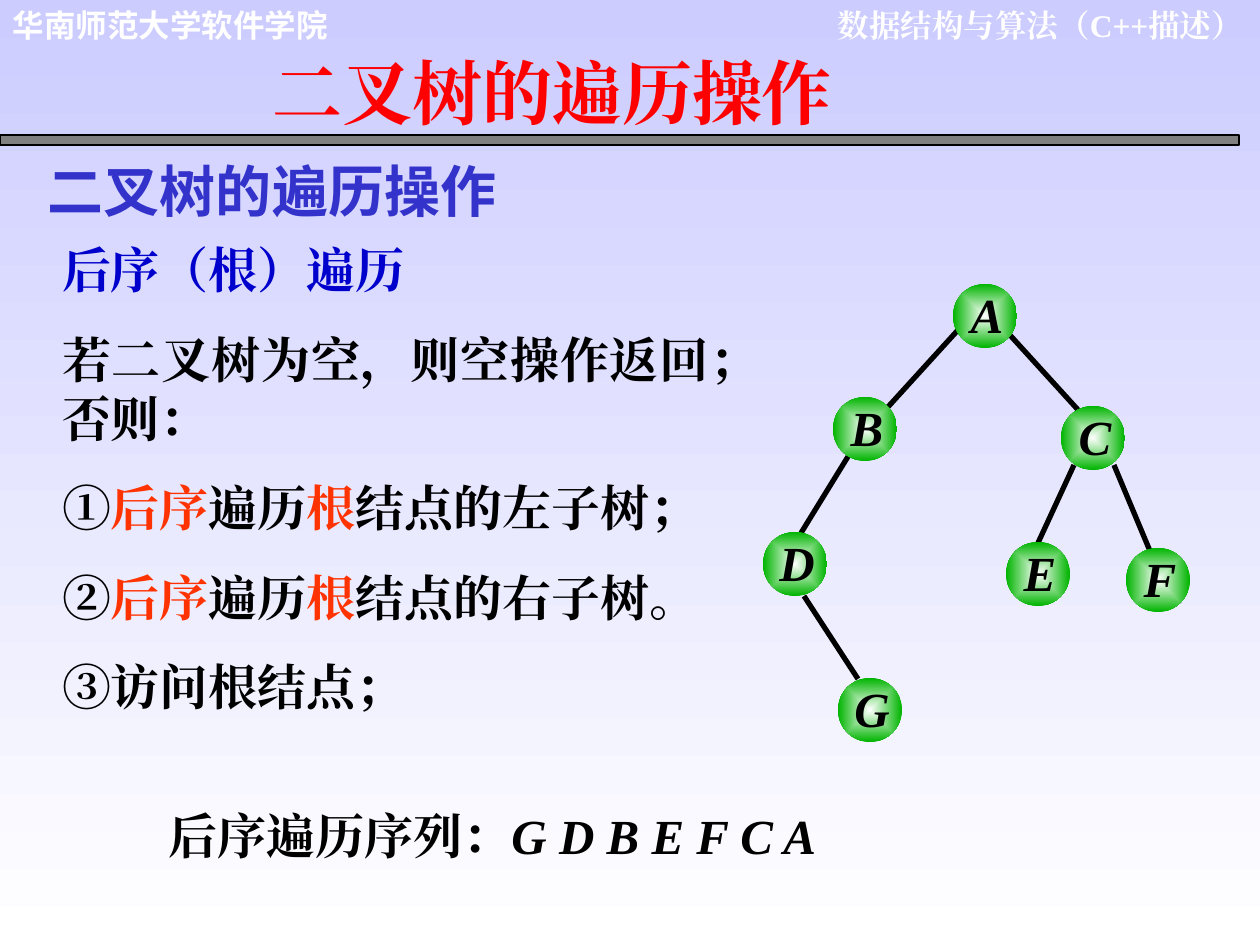
from lxml import etree
from pptx import Presentation, util as u
from pptx.dml.color import RGBColor
from pptx.enum import shapes, text
from pptx.oxml import ns

PX = 914400 / 126
WHITE = RGBColor(0xFF, 0xFF, 0xFF)
BLACK = RGBColor(0, 0, 0)
GRAY = RGBColor(0x80, 0x80, 0x80)
LAVENDER = RGBColor(0xCC, 0xCC, 0xFF)
GREEN = RGBColor(0, 0xB4, 0)
RED = RGBColor(0xFF, 0, 0)
ORANGE = RGBColor(0xFF, 0x33, 0)
BLUE = RGBColor(0, 0, 0xCC)
INDIGO = RGBColor(0x33, 0x33, 0xCC)
SERIF = "Times New Roman"
SANS = "Noto Sans CJK SC"
LEFT, CENTER, RIGHT, JUSTIFY = (text.PP_ALIGN.LEFT, text.PP_ALIGN.CENTER,
                                text.PP_ALIGN.RIGHT, text.PP_ALIGN.JUSTIFY)


def px(*lengths):
    return [u.Emu(round(length * PX)) for length in lengths]


def add_text(box, paragraphs, size, align, font=SERIF, insets=(13, 6, 13, 6),
             shadow=False, grow=True):
    """Each paragraph is a list of (words, colour, italic) runs."""
    frame = slide.shapes.add_textbox(*px(*box)).text_frame
    frame.word_wrap = True
    frame.auto_size = (text.MSO_AUTO_SIZE.SHAPE_TO_FIT_TEXT if grow
                       else text.MSO_AUTO_SIZE.NONE)
    (frame.margin_left, frame.margin_top,
     frame.margin_right, frame.margin_bottom) = px(*insets)
    for i, runs in enumerate(paragraphs):
        paragraph = frame.add_paragraph() if i else frame.paragraphs[0]
        paragraph.alignment = align
        paragraph.space_before = u.Pt(17.5 if i else 0)
        for words, color, italic in runs:
            run = paragraph.add_run()
            run.text = words
            run.font.size, run.font.name = u.Pt(size), font
            run.font.bold, run.font.italic = True, italic
            run.font.color.rgb = color
            props = run.font._element
            latin = props.find(ns.qn("a:latin"))
            east_asian = etree.Element(ns.qn("a:ea"), typeface=font)
            latin.addnext(east_asian)
            if shadow:
                effects = etree.Element(ns.qn("a:effectLst"))
                outer = etree.SubElement(effects, ns.qn("a:outerShdw"), dist="35921",
                                         dir="2700000", algn="ctr")
                etree.SubElement(outer, ns.qn("a:srgbClr"), val=str(GRAY))
                latin.addprevious(effects)


prs = Presentation()
prs.slide_width, prs.slide_height = px(1260, 945)
slide = prs.slides.add_slide(prs.slide_layouts[6])

# Background, fading downwards
backdrop = slide.background.fill
backdrop.gradient()
backdrop.gradient_angle = 270
for stop, color in zip(backdrop.gradient_stops, (LAVENDER, WHITE)):
    stop.color.rgb = color

# Page header and divider bar
add_text((790, 0, 466, 50), [[("数据结构与算法（C++描述）", WHITE, False)]], 18, RIGHT)
add_text((0, 0, 341, 50), [[("华南师范大学软件学院", WHITE, False)]], 18, LEFT, "Arial")
divider = slide.shapes.add_shape(shapes.MSO_SHAPE.RECTANGLE, *px(0, 135, 1239, 10))
divider.shadow.inherit = False
divider.fill.solid()
divider.fill.fore_color.rgb = GRAY
divider.line.color.rgb = BLACK
divider.line.width = u.Pt(0.75)

# Definition of the traversal
steps = [[(number, BLACK, False), ("后序", ORANGE, False), ("遍历", BLACK, False),
          ("根", ORANGE, False), (subtree, BLACK, False)]
         for number, subtree in (("①", "结点的左子树；"), ("②", "结点的右子树。"))]
add_text((62, 234, 697, 489),
         [[("后序（根）遍历", BLUE, False)],
          [("若二叉树为空，则空操作返回；否则：", BLACK, False)],
          *steps,
          [("③访问根结点；", BLACK, False)]],
         28, JUSTIFY, insets=(0, 6, 0, 6))

# Resulting sequence
add_text((156, 799, 706, 72),
         [[("后序遍历序列：", BLACK, False), ("G D B E F C A", BLACK, True)]], 28, JUSTIFY)

# Tree edges: AB, AC, BD, DG, CE, CF
edges = [(958, 330, 888, 407), (1009, 334, 1080, 412), (849, 455, 801, 533),
         (804, 596, 858, 679), (1074, 465, 1038, 543), (1114, 465, 1150, 551)]
for ends in edges:
    edge = slide.shapes.add_connector(shapes.MSO_CONNECTOR.STRAIGHT, *px(*ends))
    edge.line.color.rgb = BLACK
    edge.line.width = u.Pt(3)
    etree.SubElement(edge._element.spPr, ns.qn("a:effectLst"))

# Tree nodes with a white glow in the middle
nodes = {"A": (953, 284), "B": (833, 397), "C": (1061, 406), "D": (763, 532),
         "E": (1006, 542), "F": (1126, 548), "G": (838, 678)}
for letter, (x, y) in nodes.items():
    node = slide.shapes.add_shape(shapes.MSO_SHAPE.OVAL, *px(x, y, 64, 64))
    node.shadow.inherit = False
    node.line.fill.background()
    node.fill.gradient()
    for stop, color in zip(node.fill.gradient_stops, (WHITE, GREEN)):
        stop.color.rgb = color
    linear = node._element.spPr.find(".//" + ns.qn("a:lin"))
    glow = etree.Element(ns.qn("a:path"), path="rect")
    etree.SubElement(glow, ns.qn("a:fillToRect"), l="50000", t="50000", r="50000", b="50000")
    linear.getparent().replace(linear, glow)
    add_text((x + 7, y - 5, 54, 84), [[(letter, BLACK, True)]], 28, CENTER,
             insets=(0, 5, 0, 0), grow=False)

# Section heading and slide title
add_text((35, 150, 746, 81), [[("二叉树的遍历操作", INDIGO, False)]], 32, LEFT, SANS,
         shadow=True)
add_text((188, 44, 746, 97), [[("二叉树的遍历操作 ", RED, False)]], 40, CENTER, shadow=True)

prs.save("out.pptx")
